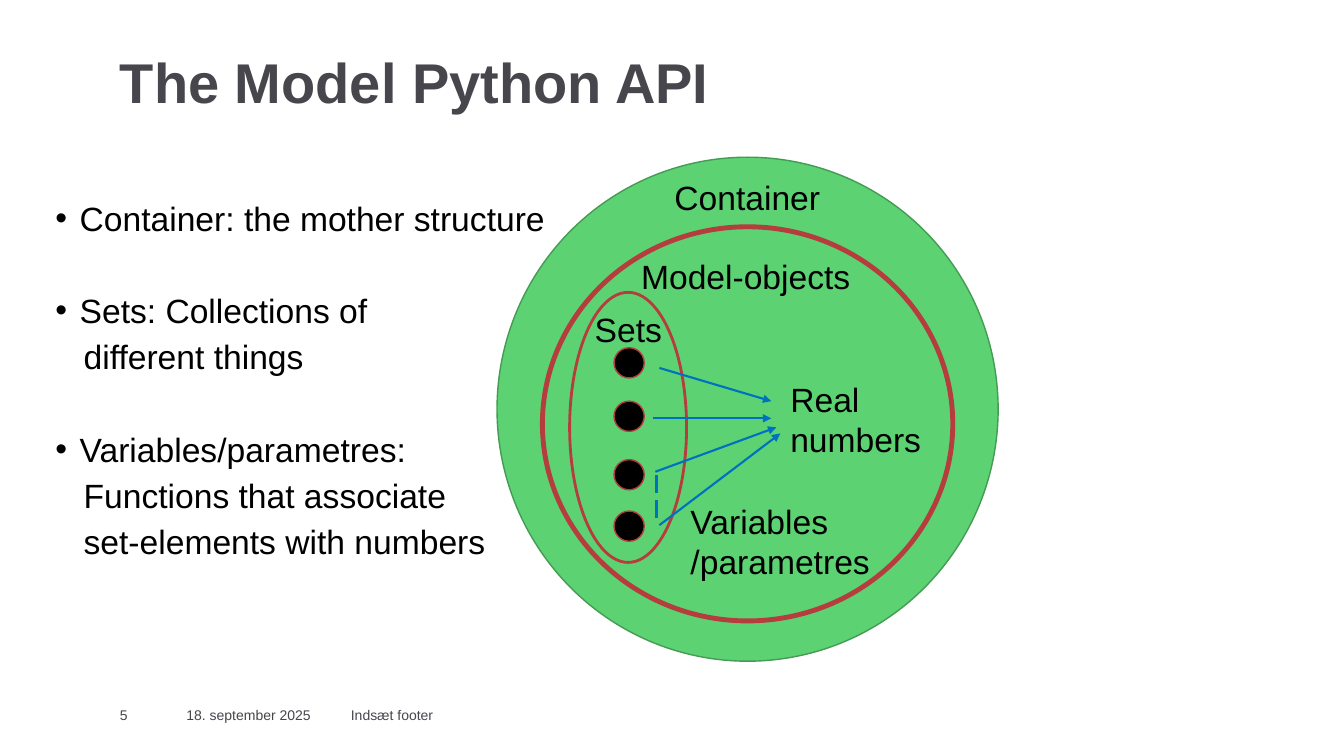
from pptx import Presentation
from pptx.dml.color import RGBColor
from pptx.enum.shapes import MSO_CONNECTOR, MSO_SHAPE
from pptx.enum.text import MSO_ANCHOR, MSO_AUTO_SIZE, PP_ALIGN
from pptx.oxml.ns import qn
from pptx.util import Inches, Pt
from lxml.etree import SubElement

TITLE = "The Model Python API"
POINTS = [
    ["Container: the mother structure"],
    ["Sets: Collections of", "different things"],
    ["Variables/parametres:", "Functions that associate", "set-elements with numbers"],
]
FOOTER = [
    ("5", 1.19, 0.59),
    ("18. september 2025", 1.85, 1.57),
    ("Indsæt footer", 3.48, 6.42),
]
LABELS = [
    ("Container", (6.59, 1.71, 2.39, 0.5)),
    ("Model-objects", (6.26, 2.49, 2.41, 0.5)),
    ("Sets", (5.8, 3.02, 1.03, 0.5)),
    ("Real numbers", (7.74, 3.71, 2.07, 0.91)),
    ("Variables\n/parametres", (6.75, 4.92, 2.41, 0.91)),
]
DOT_TOPS = [3.45, 3.98, 4.56, 5.07]
ARROWS = [
    ((6.54, 3.65), (7.65, 3.98)),
    ((6.48, 4.15), (7.65, 4.15)),
    ((6.5, 4.68), (7.7, 4.24)),
    ((6.54, 5.21), (7.74, 4.3)),
]
DASH_TOPS = [4.71, 4.96]

THEME = {
    "font": "Arial", "title": 40, "text": 24, "small": 10,
    "gray": "46464C", "black": "000000", "green": "5CD272",
    "edge": "449B54", "red": "B53D3D", "blue": "0070C0",
}


def color(name):
    return RGBColor.from_string(THEME[name])


def write(shape, text, size="text", ink="black", bold=False, inset=True,
          anchor=MSO_ANCHOR.TOP, pitch=None):
    """Fill a shape with one paragraph per line of text."""
    frame = shape.text_frame
    frame.text = text
    frame.word_wrap = True
    frame.auto_size = MSO_AUTO_SIZE.NONE
    frame.vertical_anchor = anchor
    if not inset:
        frame.margin_left = frame.margin_right = 0
        frame.margin_top = frame.margin_bottom = 0
    for para in frame.paragraphs:
        para.alignment = PP_ALIGN.LEFT
        if pitch:
            para.line_spacing = Pt(pitch)
        for run in para.runs:
            font = run.font
            font.name, font.size = THEME["font"], Pt(THEME[size])
            font.bold, font.color.rgb = bold, color(ink)
    return frame


def add_text(slide, box, text, **style):
    return write(slide.shapes.add_textbox(*map(Inches, box)), text, **style)


def indent(para, left, bullet=False):
    props = para._p.get_or_add_pPr()
    props.set("marL", str(Inches(left)))
    props.set("indent", str(Inches(-left if bullet else 0)))
    if bullet:
        SubElement(props, qn("a:buFont")).set("typeface", THEME["font"])
        SubElement(props, qn("a:buChar")).set("char", "•")
    else:
        SubElement(props, qn("a:buNone"))


def add_points(slide):
    lines = [(line, row) for point in POINTS for row, line in enumerate(point)]
    frame = add_text(slide, (0.55, 2.04, 8.82, 4.33),
                     "\n".join(line for line, _ in lines), inset=False, pitch=23)
    for place, (para, (_, row)) in enumerate(zip(frame.paragraphs, lines)):
        para.space_before = Pt(43 if place and row == 0 else 10)
        indent(para, 0.28 if row else 0.24, bullet=row == 0)


def add_oval(slide, box, edge, width, fill=None):
    oval = slide.shapes.add_shape(MSO_SHAPE.OVAL, *map(Inches, box))
    oval.shadow.inherit = False
    if fill:
        oval.fill.solid()
        oval.fill.fore_color.rgb = color(fill)
    else:
        oval.fill.background()
    oval.line.color.rgb = color(edge)
    oval.line.width = Pt(width)


def add_line(slide, start, end, width, arrow=False):
    link = slide.shapes.add_connector(
        MSO_CONNECTOR.STRAIGHT, *map(Inches, start + end))
    link.line.color.rgb = color("blue")
    link.line.width = Pt(width)
    if arrow:
        SubElement(link.line._get_or_add_ln(), qn("a:tailEnd")).set("type", "triangle")
    SubElement(link._element.spPr, qn("a:effectLst"))


def main():
    deck = Presentation()
    deck.slide_width, deck.slide_height = Inches(13.33), Inches(7.5)
    slide = deck.slides.add_slide(deck.slide_layouts[5])

    title = slide.shapes.title
    title.left, title.top = Inches(1.19), Inches(0.47)
    title.width, title.height = Inches(8.82), Inches(1.45)
    write(title, TITLE, size="title", ink="gray", bold=True, inset=False, pitch=48)

    add_points(slide)
    for text, left, width in FOOTER:
        add_text(slide, (left, 6.98, width, 0.2), text, size="small", ink="gray",
                 inset=False, anchor=MSO_ANCHOR.BOTTOM)

    add_oval(slide, (4.93, 1.56, 4.97, 5), "edge", 1, fill="green")
    add_oval(slide, (5.38, 2.25, 4.07, 3.91), "red", 3.5)
    add_oval(slide, (5.65, 2.9, 1.16, 2.68), "red", 2)
    for top in DOT_TOPS:
        add_oval(slide, (6.09, top, 0.3, 0.3), "red", 1, fill="black")
    for text, box in LABELS:
        add_text(slide, box, text)
    for start, end in ARROWS:
        add_line(slide, start, end, 1.5, arrow=True)
    for top in DASH_TOPS:
        add_line(slide, (6.51, top), (6.51, top + 0.18), 2)

    deck.save("out.pptx")


if __name__ == "__main__":
    main()
